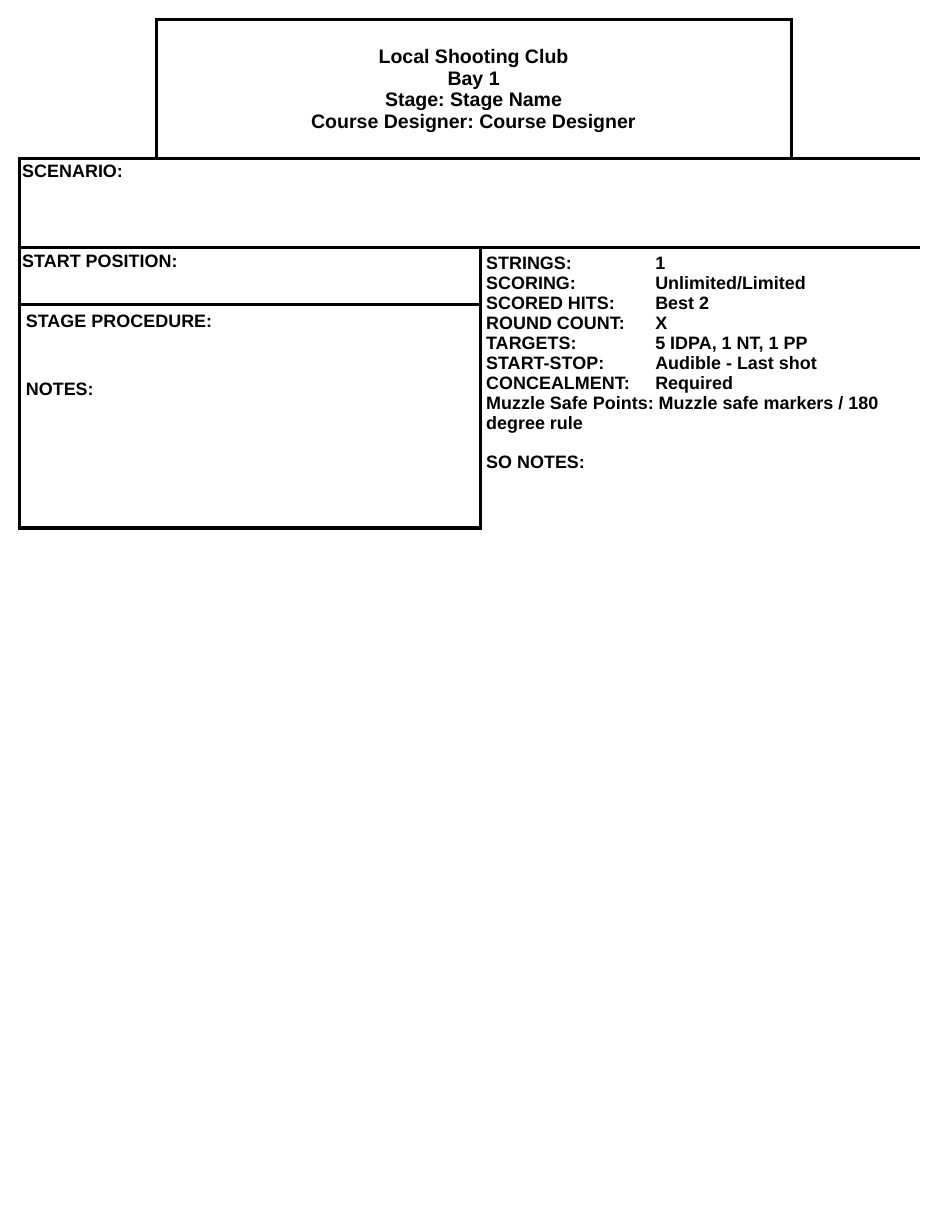
from lxml.etree import SubElement
from pptx import Presentation
from pptx.dml.color import RGBColor
from pptx.enum.text import MSO_ANCHOR as ANCHOR, PP_ALIGN as ALIGN
from pptx.oxml.ns import qn
from pptx.util import Cm, Pt

COLORS = {"ink": "000000", "paper": "FFFFFF"}
FONT = "Arial"
BORDER = Pt(2.25)
COLUMNS = [2.95, 7.01, 6.73, 2.79]
ROWS = [3.0, 1.93, 1.24, 4.83]
VALUE_TAB = 3.66

HEADER = ["Local Shooting Club", "Bay 1", "Stage: Stage Name",
          "Course Designer: Course Designer"]
DETAILS = [
    "STRINGS:\t1",
    "SCORING:\tUnlimited/Limited",
    "SCORED HITS:\tBest 2",
    "ROUND COUNT:\tX",
    "TARGETS:\t5 IDPA, 1 NT, 1 PP",
    "START-STOP:\tAudible - Last shot",
    "CONCEALMENT:\tRequired",
    "Muzzle Safe Points: Muzzle safe markers / 180 degree rule",
    "SO NOTES:",
]


def set_borders(cell, sides):
    """Draw the named sides (letters of LRTB) and hide the others."""
    tc_pr = cell._tc.get_or_add_tcPr()
    for side in "LRTB":
        ln = SubElement(tc_pr, qn(f"a:ln{side}"), w=str(int(BORDER)))
        if side in sides:
            fill = SubElement(ln, qn("a:solidFill"))
            SubElement(fill, qn("a:srgbClr"), val=COLORS["ink"])
        else:
            SubElement(ln, qn("a:noFill"))


def style_cell(cell, sides):
    set_borders(cell, sides)
    cell.fill.solid()
    cell.fill.fore_color.rgb = RGBColor.from_string(COLORS["paper"])


def add_region(table, top, left, bottom, right):
    """Merge a block of cells, frame it and return its first cell."""
    for row in range(top, bottom + 1):
        for col in range(left, right + 1):
            edges = {"L": col == left, "R": col == right,
                     "T": row == top, "B": row == bottom}
            style_cell(table.cell(row, col), [s for s in edges if edges[s]])
    cell = table.cell(top, left)
    cell.merge(table.cell(bottom, right))
    return cell


def add_tab(p, position):
    tabs = SubElement(p._p.get_or_add_pPr(), qn("a:tabLst"))
    SubElement(tabs, qn("a:tab"), pos=str(int(Cm(position))), algn="l")


def write(cell, lines, size=11, align=ALIGN.LEFT, anchor=ANCHOR.TOP,
          inset=(0.13, 0.13), line_spacing=None, last_gap=0, tab=None):
    """Fill a cell, one paragraph a line; last_gap is the space before the last."""
    cell.margin_left = cell.margin_right = Cm(inset[0])
    cell.margin_top = cell.margin_bottom = Cm(inset[1])
    cell.vertical_anchor = anchor
    tf = cell.text_frame
    for i, line in enumerate(lines):
        p = tf.add_paragraph() if i else tf.paragraphs[0]
        p.alignment = align
        if line_spacing:
            p.line_spacing = line_spacing
        if last_gap and i == len(lines) - 1:
            p.space_before = Pt(last_gap)
        if tab and "\t" in line:
            add_tab(p, tab)
        r = p.add_run()
        r.text = line
        r.font.name = FONT
        r.font.size = Pt(size)
        r.font.bold = True
        r.font.color.rgb = RGBColor.from_string(COLORS["ink"])


def add_stage_table(slide):
    frame = slide.shapes.add_table(len(ROWS), len(COLUMNS), Cm(0.43), Cm(0.43),
                                   Cm(sum(COLUMNS)), Cm(sum(ROWS)))
    table = frame.table
    table.first_row = table.horz_banding = False
    for column, width in zip(table.columns, COLUMNS):
        column.width = Cm(width)
    for row, height in zip(table.rows, ROWS):
        row.height = Cm(height)
    return table


def main():
    prs = Presentation()
    prs.slide_width, prs.slide_height = Cm(20.32), Cm(26.67)
    slide = prs.slides.add_slide(prs.slide_layouts[6])
    table = add_stage_table(slide)

    style_cell(table.cell(0, 0), "RB")
    style_cell(table.cell(0, 3), "LB")
    write(add_region(table, 0, 1, 0, 2), HEADER, size=12,
          align=ALIGN.CENTER, anchor=ANCHOR.MIDDLE)
    write(add_region(table, 1, 0, 1, 3), ["SCENARIO:"],
          inset=(0.05, 0.1), line_spacing=0.9)
    write(add_region(table, 2, 0, 2, 1), ["START POSITION:"], inset=(0.05, 0.08))
    write(add_region(table, 2, 2, 3, 3), DETAILS, last_gap=12, tab=VALUE_TAB)
    write(add_region(table, 3, 0, 3, 1), ["STAGE PROCEDURE:", "NOTES:"], last_gap=30)

    prs.save("out.pptx")


if __name__ == "__main__":
    main()
